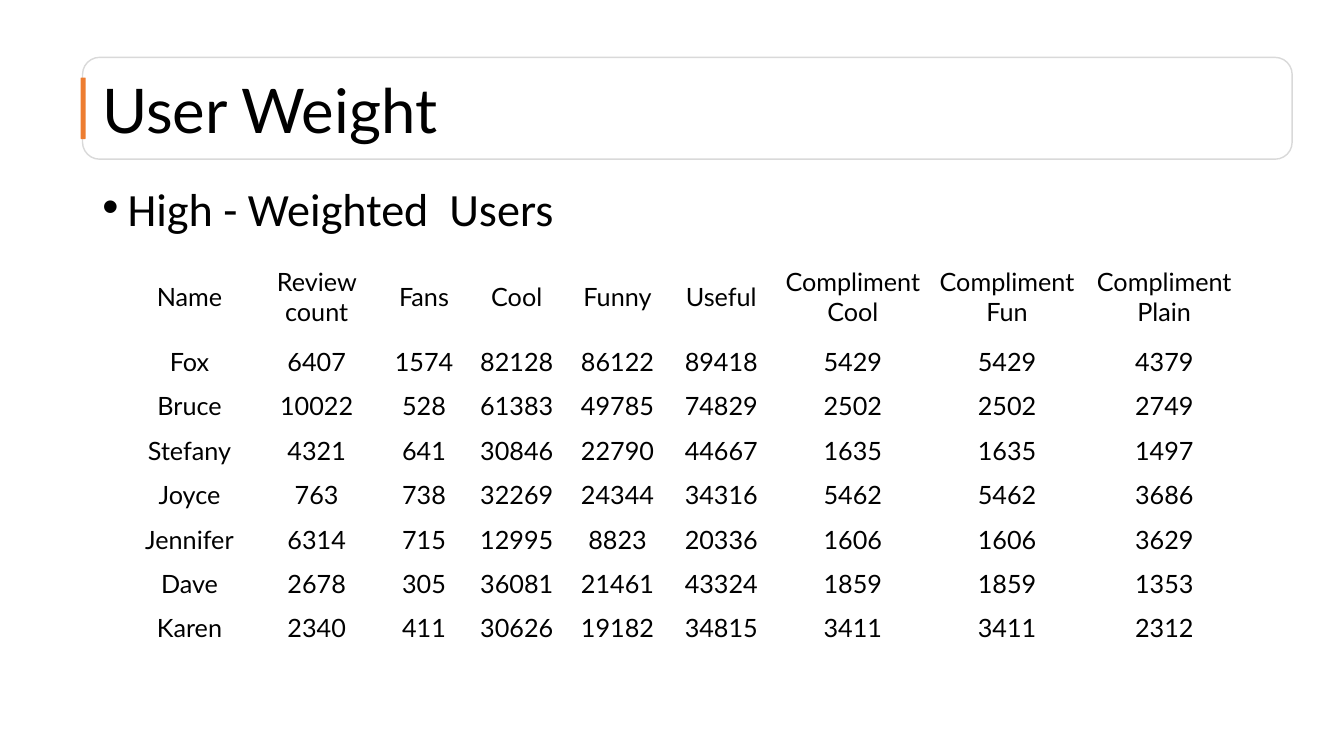
"""Build the User Weight slide with its table of high-weighted users."""
from dataclasses import dataclass

import lxml.etree
import pptx
import pptx.dml.color
import pptx.enum.shapes
import pptx.enum.text
import pptx.oxml.ns
import pptx.slide
import pptx.text.text
import pptx.util

Pt = pptx.util.Pt
COLORS = {"text": "000000", "frame": "D9D9D9", "accent": "ED7D31"}
HEADERS = ["Name", "Review count", "Fans", "Cool", "Funny", "Useful",
           "Compliment Cool", "Compliment Fun", "Compliment Plain"]
USERS = [
    ["Fox", 6407, 1574, 82128, 86122, 89418, 5429, 5429, 4379],
    ["Bruce", 10022, 528, 61383, 49785, 74829, 2502, 2502, 2749],
    ["Stefany", 4321, 641, 30846, 22790, 44667, 1635, 1635, 1497],
    ["Joyce", 763, 738, 32269, 24344, 34316, 5462, 5462, 3686],
    ["Jennifer", 6314, 715, 12995, 8823, 20336, 1606, 1606, 3629],
    ["Dave", 2678, 305, 36081, 21461, 43324, 1859, 1859, 1353],
    ["Karen", 2340, 411, 30626, 19182, 34815, 3411, 3411, 2312],
]
COLUMN_WIDTHS = [88, 93.6, 59.8, 72.7, 71.3, 77, 110.9, 109.4, 115.2]
HEADER_HEIGHT = 61.2
ROW_HEIGHT = 31.7
CELL_INSET = 0.75


@dataclass
class Area:
    left: float
    top: float
    width: float
    height: float

    def lengths(self) -> list[pptx.util.Length]:
        return [Pt(value) for value in (self.left, self.top, self.width, self.height)]


@dataclass
class TextItem:
    text: str
    area: Area
    font: str
    size: float
    spacing: float
    anchor: pptx.enum.text.MSO_ANCHOR
    space_before: float = 0
    bullet: str = ""


@dataclass
class RoundedItem:
    area: Area
    fill: str = ""
    line: str = ""


TEXTS = [
    TextItem("High - Weighted  Users", Area(66, 136, 851, 351), "Calibri", 33, 0.7,
             pptx.enum.text.MSO_ANCHOR.TOP, space_before=10, bullet="•"),
    TextItem("User Weight", Area(66, 28.8, 828, 104.4), "Lato", 44, 0.9,
             pptx.enum.text.MSO_ANCHOR.MIDDLE),
]
ROUNDED = [
    RoundedItem(Area(59, 41, 864, 72.7), line="frame"),
    RoundedItem(Area(57.6, 55.4, 3.6, 44), fill="accent"),
]


def color(name: str) -> pptx.dml.color.RGBColor:
    return pptx.dml.color.RGBColor.from_string(COLORS[name])


def add_run(para: pptx.text.text._Paragraph, text: str, font: str, size: float) -> None:
    run = para.add_run()
    run.text = text
    run.font.name = font
    run.font.size = Pt(size)
    run.font.color.rgb = color("text")


def add_bullet(para: pptx.text.text._Paragraph, mark: str) -> None:
    properties = para._p.get_or_add_pPr()
    properties.set("marL", str(Pt(18)))
    properties.set("indent", str(Pt(-18)))
    font = lxml.etree.SubElement(properties, pptx.oxml.ns.qn("a:buFont"))
    font.set("typeface", "Arial")
    bullet = lxml.etree.SubElement(properties, pptx.oxml.ns.qn("a:buChar"))
    bullet.set("char", mark)


def add_text(page: pptx.slide.Slide, item: TextItem) -> None:
    box = page.shapes.add_textbox(*item.area.lengths())
    box.text_frame.word_wrap = True
    box.text_frame.vertical_anchor = item.anchor
    para = box.text_frame.paragraphs[0]
    para.line_spacing = item.spacing
    para.space_before = Pt(item.space_before)
    if item.bullet:
        add_bullet(para, item.bullet)
    add_run(para, item.text, item.font, item.size)


def add_rounded(page: pptx.slide.Slide, item: RoundedItem) -> None:
    shape = page.shapes.add_shape(
        pptx.enum.shapes.MSO_SHAPE.ROUNDED_RECTANGLE, *item.area.lengths())
    shape.shadow.inherit = False
    if item.fill:
        shape.fill.solid()
        shape.fill.fore_color.rgb = color(item.fill)
    else:
        shape.fill.background()
    if item.line:
        shape.line.color.rgb = color(item.line)
        shape.line.width = Pt(1)
    else:
        shape.line.fill.background()


def add_user_table(page: pptx.slide.Slide) -> None:
    rows = [HEADERS, *USERS]
    area = Area(91.4, 181.4, sum(COLUMN_WIDTHS), HEADER_HEIGHT + ROW_HEIGHT * len(USERS))
    table = page.shapes.add_table(len(rows), len(HEADERS), *area.lengths()).table
    table.first_row = False
    table.horz_banding = False
    for column, width in zip(table.columns, COLUMN_WIDTHS):
        column.width = Pt(width)
    for index, values in enumerate(rows):
        table.rows[index].height = Pt(ROW_HEIGHT if index else HEADER_HEIGHT)
        for cell, value in zip(table.rows[index].cells, values):
            cell.fill.background()
            cell.vertical_anchor = pptx.enum.text.MSO_ANCHOR.MIDDLE
            cell.margin_left = cell.margin_right = Pt(CELL_INSET)
            cell.margin_top = cell.margin_bottom = Pt(CELL_INSET)
            para = cell.text_frame.paragraphs[0]
            para.alignment = pptx.enum.text.PP_ALIGN.CENTER
            add_run(para, str(value), "Lato", 18)


def main() -> None:
    deck = pptx.Presentation()
    deck.slide_width, deck.slide_height = Pt(960), Pt(540)
    page = deck.slides.add_slide(deck.slide_layouts[6])
    for item in TEXTS:
        add_text(page, item)
    add_user_table(page)
    for item in ROUNDED:
        add_rounded(page, item)
    deck.save("out.pptx")


if __name__ == "__main__":
    main()
